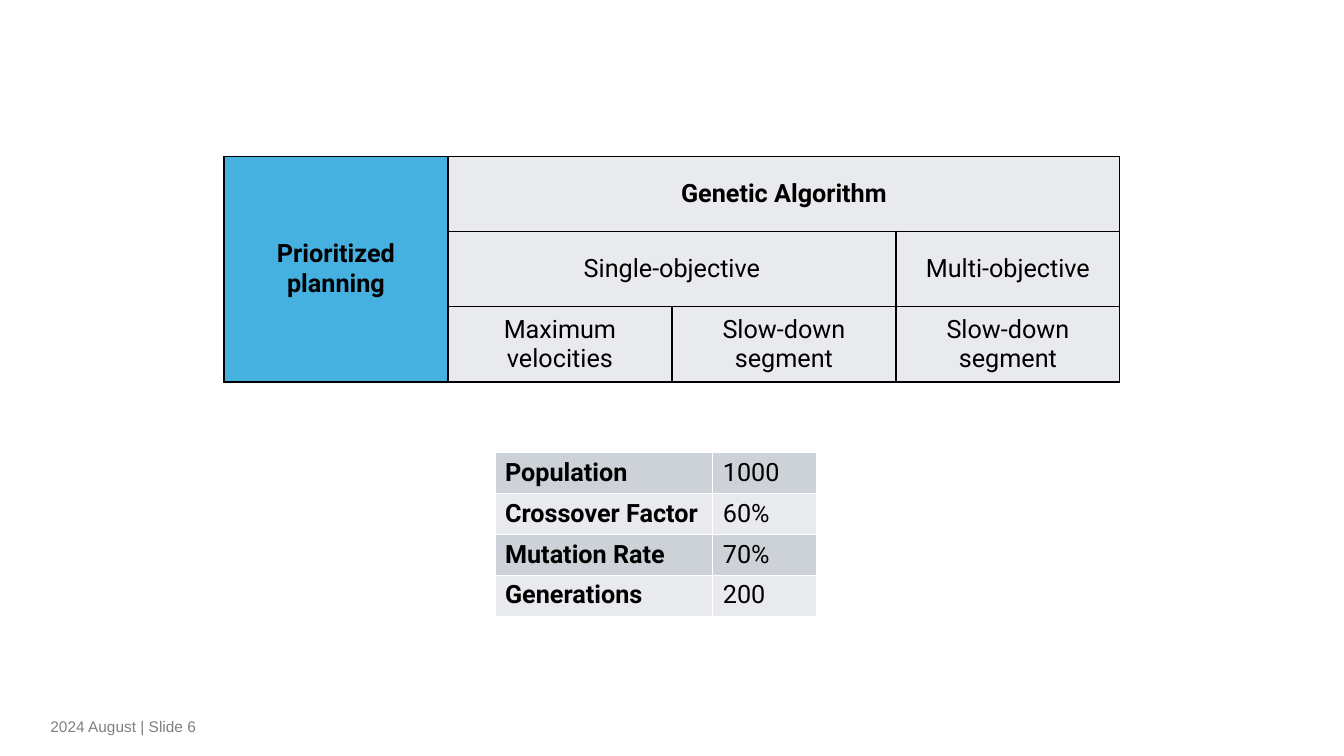
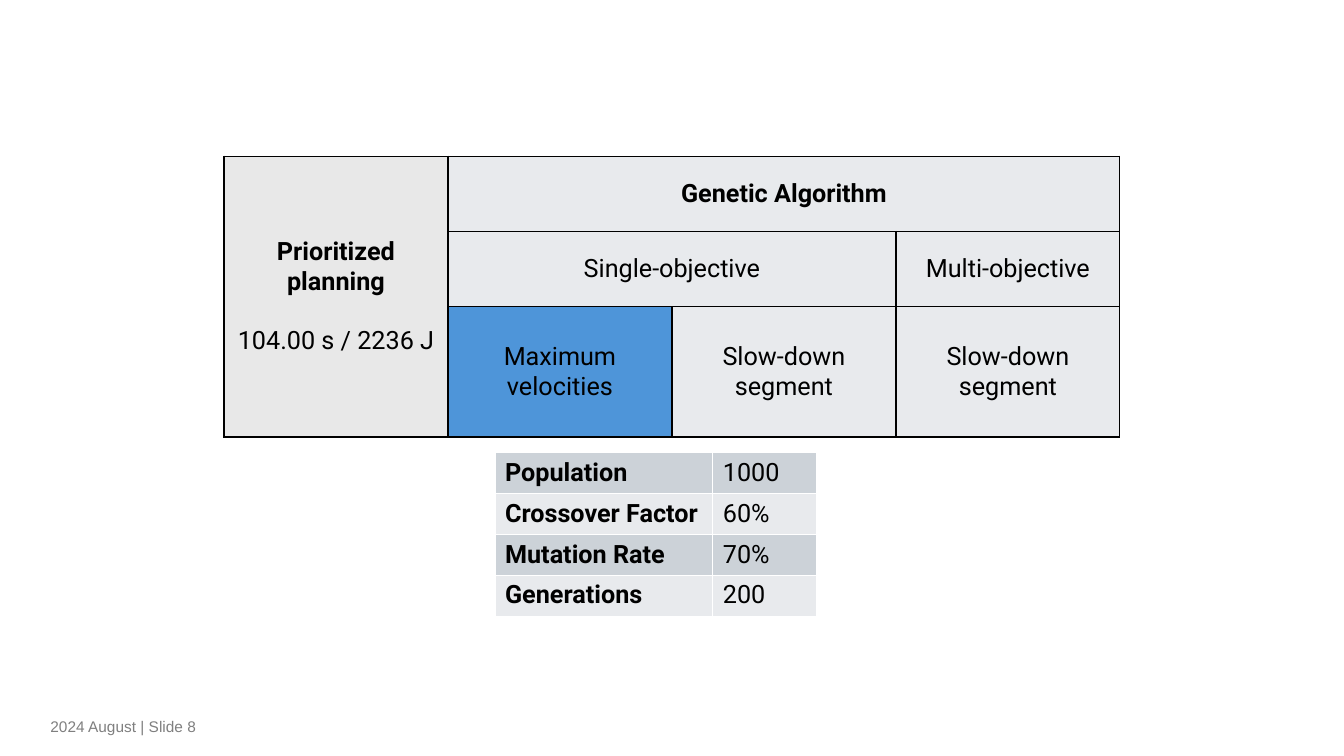
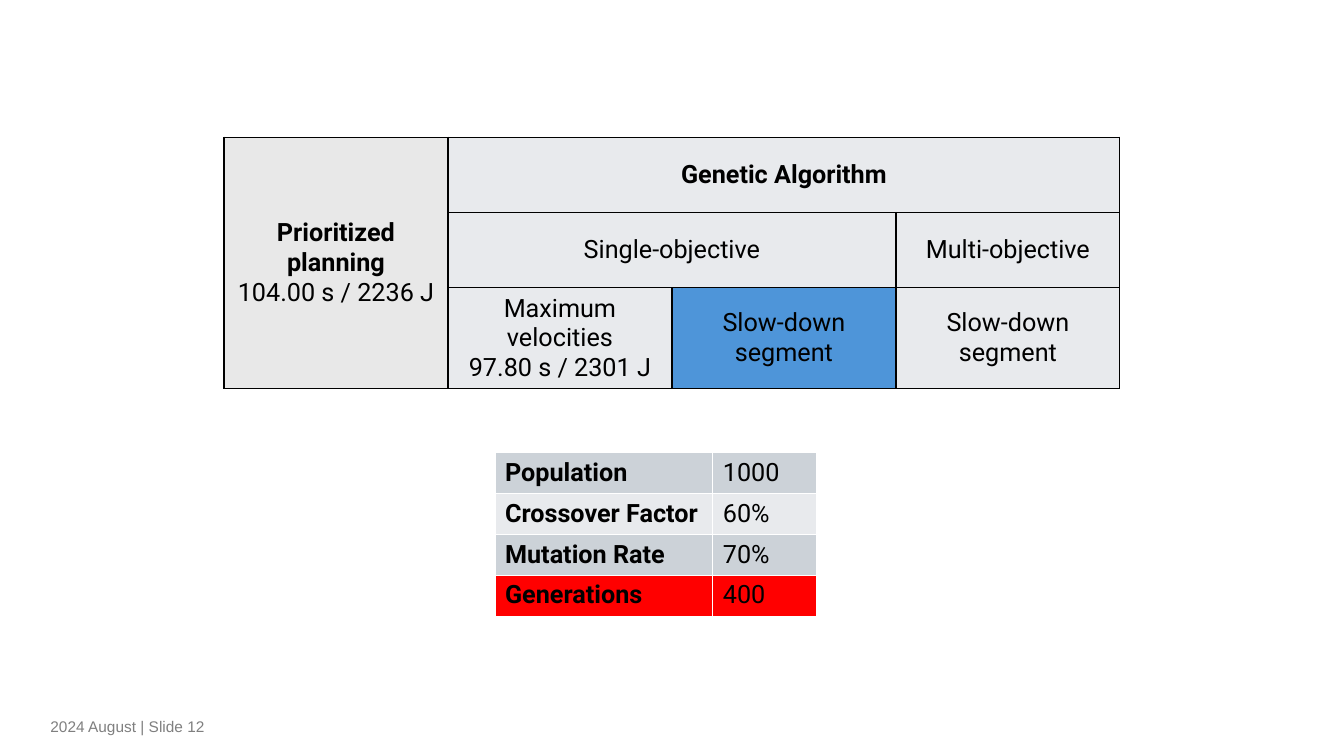
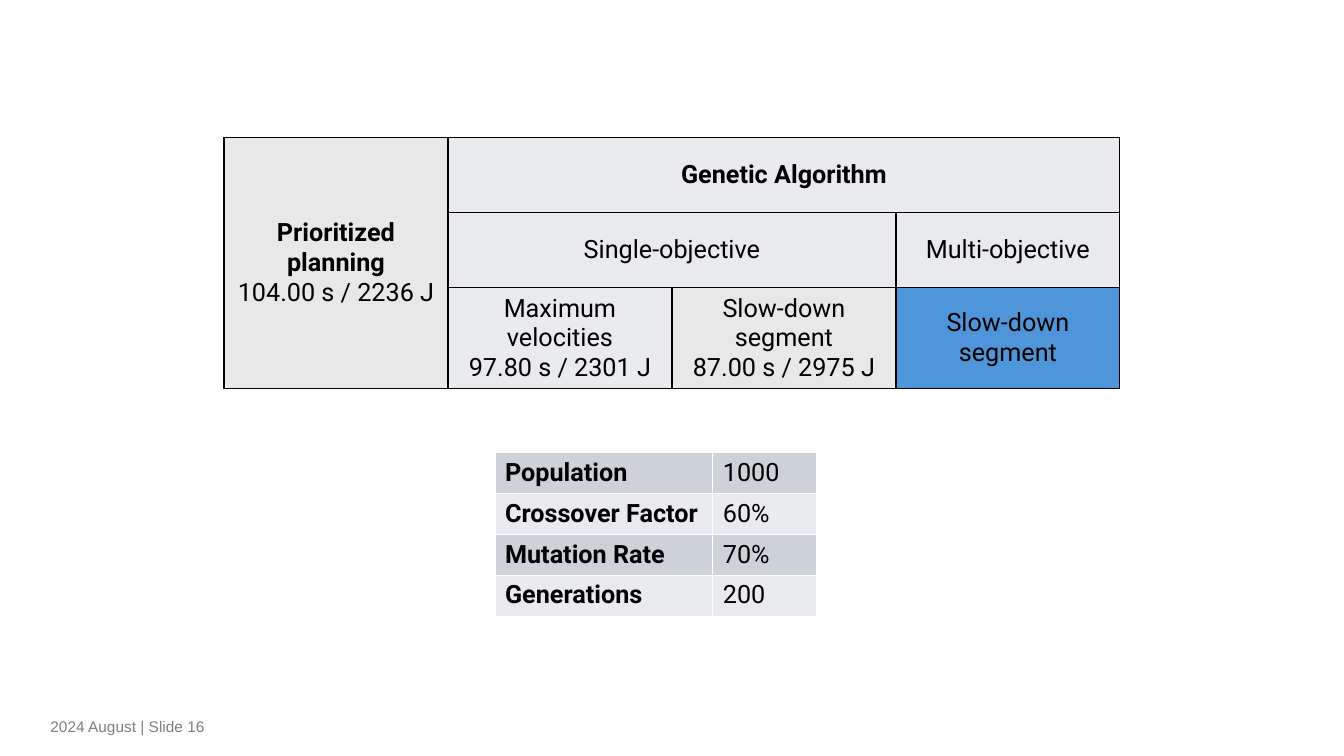
import pptx
import pptx.util
import pptx.dml.color
import pptx.enum.text
import pptx.oxml
import pptx.oxml.ns
from lxml import etree

Pt = pptx.util.Pt
MIDDLE = pptx.enum.text.MSO_ANCHOR.MIDDLE
TOP = pptx.enum.text.MSO_ANCHOR.TOP
CENTER = pptx.enum.text.PP_ALIGN.CENTER
LEFT = pptx.enum.text.PP_ALIGN.LEFT

# Shared style
COLORS = {
    "text": "000000", "footer": "7F7F7F", "grid": "000000", "gap": "FFFFFF",
    "plain": "E8EAED", "band": "CCD2D8", "done": "E8E8E8",
    "start": "46B1E1", "current": "4E95D9", "changed": "FF0000",
}
BODY_FONT, BODY_SIZE = "Roboto", 18
FOOTER_FONT, FOOTER_SIZE = "Arial", 11

# Content: method cells as (row, column, row span, column span, text, bold)
METHODS = {
    "planning": (0, 0, 3, 1, "Prioritized planning", True),
    "genetic": (0, 1, 1, 3, "Genetic Algorithm", True),
    "single": (1, 1, 1, 2, "Single-objective", False),
    "multi": (1, 3, 1, 1, "Multi-objective", False),
    "velocities": (2, 1, 1, 1, "Maximum velocities", False),
    "single_slow": (2, 2, 1, 1, "Slow-down segment", False),
    "multi_slow": (2, 3, 1, 1, "Slow-down segment", False),
}
PARAMETERS = {
    "Population": "1000",
    "Crossover Factor": "60%",
    "Mutation Rate": "70%",
    "Generations": "200",
}
PLANNING_RESULT = "104.00 s / 2236 J"
VELOCITIES_RESULT = "97.80 s / 2301 J"
SLIDES = [
    {"number": 6, "top": 111.6, "last_row": 53.8,
     "fills": {"planning": "start"}},
    {"number": 8, "top": 111.6, "last_row": 91.6, "result_gap": 21,
     "fills": {"planning": "done", "velocities": "current"},
     "results": {"planning": PLANNING_RESULT}},
    {"number": 12, "top": 98, "last_row": 70.4,
     "fills": {"planning": "done", "single_slow": "current"},
     "results": {"planning": PLANNING_RESULT, "velocities": VELOCITIES_RESULT},
     "changes": {"Generations": "400"}},
    {"number": 16, "top": 98, "last_row": 70.4,
     "fills": {"planning": "done", "single_slow": "done", "multi_slow": "current"},
     "results": {"planning": PLANNING_RESULT, "velocities": VELOCITIES_RESULT,
                 "single_slow": "87.00 s / 2975 J"}},
]

# Layout
METHOD_LEFT, METHOD_COLUMN, METHOD_ROW = 160, 160, 53.8
PARAMETER_LEFT, PARAMETER_TOP = 353.6, 323.5
PARAMETER_COLUMNS, PARAMETER_ROW = (155.6, 73.8), 29.2


def add_run(paragraph, text, font, size, color, bold=False):
    run = paragraph.add_run()
    run.text = text
    run.font.name = font
    run.font.size = Pt(size)
    run.font.bold = bold
    run.font.color.rgb = pptx.dml.color.RGBColor.from_string(COLORS[color])


def add_grid(slide, left, top, widths, heights, border):
    """Add a table with the same 1 pt border round every cell."""
    table = slide.shapes.add_table(
        len(heights), len(widths), Pt(left), Pt(top),
        Pt(sum(widths)), Pt(sum(heights))).table
    table.first_row = table.horz_banding = False
    for column, width in zip(table.columns, widths):
        column.width = Pt(width)
    for row, height in zip(table.rows, heights):
        row.height = Pt(height)
    for cell in table.iter_cells():
        properties = cell._tc.get_or_add_tcPr()
        for side in ("lnL", "lnR", "lnT", "lnB"):
            line = etree.SubElement(properties, pptx.oxml.ns.qn("a:" + side), w=str(Pt(1)))
            fill = etree.SubElement(line, pptx.oxml.ns.qn("a:solidFill"))
            etree.SubElement(fill, pptx.oxml.ns.qn("a:srgbClr"), val=COLORS[border])
    return table


def fill_cell(cell, lines, fill, anchor, align, gap=0):
    """Write (text, bold) lines, with a gap in points between them."""
    cell.fill.solid()
    cell.fill.fore_color.rgb = pptx.dml.color.RGBColor.from_string(COLORS[fill])
    cell.vertical_anchor = anchor
    for index, (text, bold) in enumerate(lines):
        frame = cell.text_frame
        paragraph = frame.add_paragraph() if index else frame.paragraphs[0]
        paragraph.alignment = align
        if index and gap:
            paragraph.space_before = Pt(gap)
        add_run(paragraph, text, BODY_FONT, BODY_SIZE, "text", bold)


def add_methods(slide, content):
    heights = [METHOD_ROW, METHOD_ROW, content["last_row"]]
    table = add_grid(slide, METHOD_LEFT, content["top"],
                     [METHOD_COLUMN] * 4, heights, "grid")
    results = content.get("results", {})
    for key, (row, column, rows, columns, title, bold) in METHODS.items():
        cell = table.cell(row, column)
        if rows * columns > 1:
            cell.merge(table.cell(row + rows - 1, column + columns - 1))
        lines = [(title, bold)]
        if key in results:
            lines.append((results[key], False))
        fill_cell(cell, lines, content["fills"].get(key, "plain"),
                  MIDDLE, CENTER, content.get("result_gap", 0))


def add_parameters(slide, changes):
    table = add_grid(slide, PARAMETER_LEFT, PARAMETER_TOP, PARAMETER_COLUMNS,
                     [PARAMETER_ROW] * len(PARAMETERS), "gap")
    for row, (name, value) in enumerate(PARAMETERS.items()):
        fill = "changed" if name in changes else ("band", "plain")[row % 2]
        fill_cell(table.cell(row, 0), [(name, True)], fill, TOP, LEFT)
        fill_cell(table.cell(row, 1), [(changes.get(name, value), False)], fill, TOP, LEFT)


def add_footer(slide, number):
    frame = slide.shapes.add_textbox(Pt(36), Pt(512.6), Pt(168), Pt(16)).text_frame
    frame.word_wrap = True
    frame.vertical_anchor = MIDDLE
    frame.margin_left = frame.margin_right = frame.margin_top = 0
    frame.margin_bottom = Pt(3.6)
    add_run(frame.paragraphs[0], f"2024 August | Slide {number}",
            FOOTER_FONT, FOOTER_SIZE, "footer")


def main():
    deck = pptx.Presentation()
    deck.slide_width, deck.slide_height = Pt(960), Pt(540)
    for content in SLIDES:
        slide = deck.slides.add_slide(deck.slide_layouts[6])
        add_footer(slide, content["number"])
        add_methods(slide, content)
        add_parameters(slide, content.get("changes", {}))
    deck.save("out.pptx")


if __name__ == "__main__":
    main()
